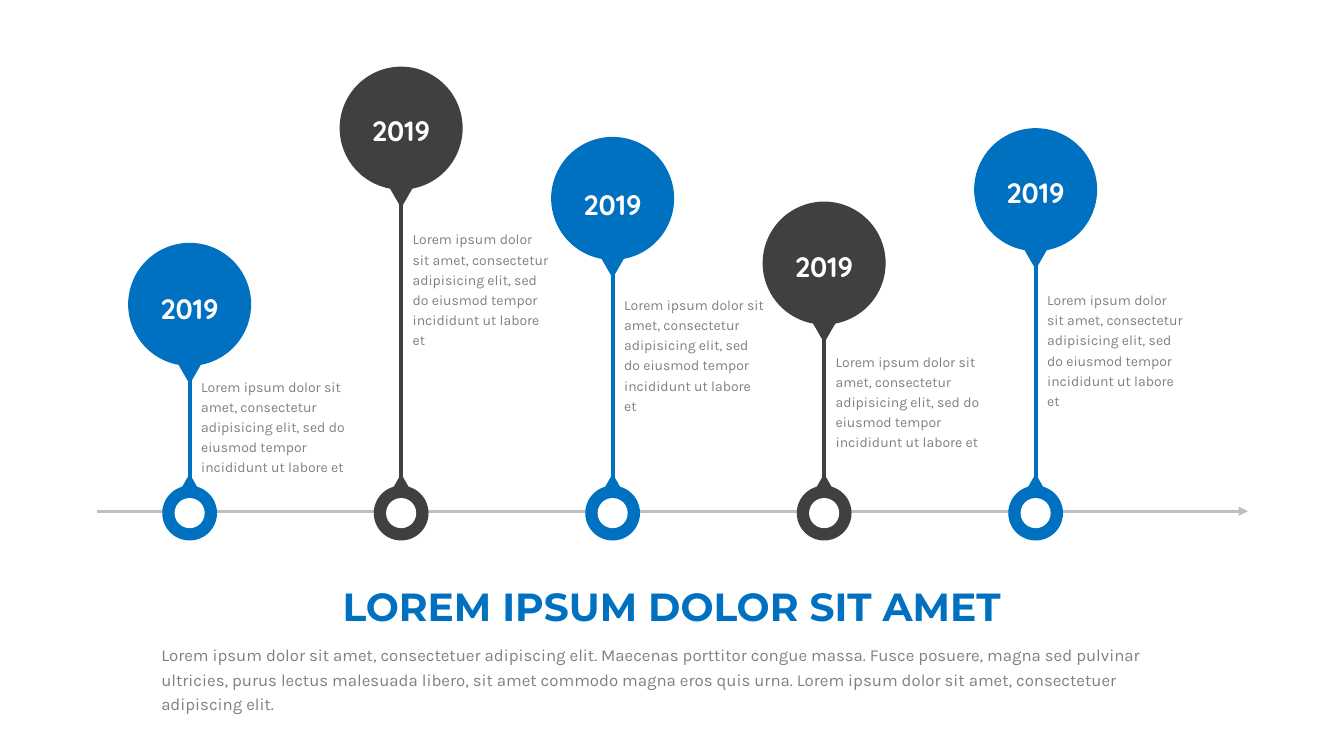
import pptx
import pptx.util
import pptx.dml.color
import pptx.enum.dml
import pptx.enum.shapes
import pptx.enum.text
import pptx.oxml.ns
from lxml import etree

Cm = pptx.util.Cm
RGBColor = pptx.dml.color.RGBColor
SHAPE = pptx.enum.shapes.MSO_SHAPE
ALIGN = pptx.enum.text.PP_ALIGN
qn = pptx.oxml.ns.qn

BLUE = RGBColor(0x00, 0x70, 0xC0)
DARK = RGBColor(0x40, 0x40, 0x40)
GREY = RGBColor(0x80, 0x80, 0x80)
LIGHT_GREY = RGBColor(0xBF, 0xBF, 0xBF)
WHITE = RGBColor(0xFF, 0xFF, 0xFF)

# Timeline geometry in centimetres
FIRST_CENTRE, PITCH = 4.78, 5.33
AXIS_Y, AXIS_LEFT, AXIS_RIGHT = 12.88, 2.44, 31.45
BUBBLE = 3.1
STEM_BOTTOM = 13.28

# Bubble top, year top, stem top, note top, note width, colour
MILESTONES = [
    (6.12, 7.11, 9.02, 9.32, 4.6, BLUE),
    (1.68, 2.62, 4.01, 5.61, 4.01, DARK),
    (3.45, 4.47, 6.27, 7.26, 4.04, BLUE),
    (5.08, 6.05, 7.65, 8.69, 4.32, DARK),
    (3.23, 4.17, 5.64, 7.14, 3.96, BLUE),
]
YEAR = "2019"
NOTE = ("Lorem ipsum dolor sit amet, consectetur adipisicing elit, "
        "sed do eiusmod tempor incididunt ut labore et")
TITLE = "LOREM IPSUM DOLOR SIT AMET"
SUMMARY = ("Lorem ipsum dolor sit amet, consectetuer adipiscing elit. Maecenas "
           "porttitor congue massa. Fusce posuere, magna sed pulvinar ultricies, "
           "purus lectus malesuada libero, sit amet commodo magna eros quis urna. "
           "Lorem ipsum dolor sit amet, consectetuer adipiscing elit.")


class TimelineSlide:
    """Holds the slide and its text styles, and draws each kind of element."""

    # Font, size, bold, colour, alignment, line spacing
    STYLES = {
        "title": ("Montserrat", 28, True, BLUE, ALIGN.CENTER, 1.0),
        "summary": ("Karla", 12, False, GREY, ALIGN.LEFT, 1.2),
        "year": ("Quicksand", 20, True, WHITE, ALIGN.CENTER, 1.14),
        "note": ("Karla", 10, False, GREY, ALIGN.LEFT, 1.2),
    }

    def __init__(self, presentation):
        self.slide = presentation.slides.add_slide(presentation.slide_layouts[1])

    def shape(self, kind, centre, top, width, height, colour, rotation=0):
        shape = self.slide.shapes.add_shape(
            kind, Cm(centre - width / 2), Cm(top), Cm(width), Cm(height))
        shape.shadow.inherit = False
        shape.fill.solid()
        shape.fill.fore_color.rgb = colour
        shape.line.fill.background()
        shape.rotation = rotation

    def line(self, x1, y1, x2, y2, colour, points, arrow=False):
        connector = self.slide.shapes.add_connector(
            pptx.enum.shapes.MSO_CONNECTOR.STRAIGHT, Cm(x1), Cm(y1), Cm(x2), Cm(y2))
        connector.line.color.rgb = colour
        connector.line.width = pptx.util.Pt(points)
        if arrow:
            etree.SubElement(connector.line._get_or_add_ln(), qn("a:tailEnd"),
                             type="triangle")
        etree.SubElement(connector._element.spPr, qn("a:effectLst"))

    def format_text(self, shape, text, style):
        font_name, size, bold, colour, alignment, spacing = self.STYLES[style]
        frame = shape.text_frame
        frame.text = text
        frame.word_wrap = True
        frame.auto_size = pptx.enum.text.MSO_AUTO_SIZE.SHAPE_TO_FIT_TEXT
        frame.vertical_anchor = pptx.enum.text.MSO_ANCHOR.TOP
        paragraph = frame.paragraphs[0]
        paragraph.alignment = alignment
        paragraph.line_spacing = spacing
        paragraph.space_before = pptx.util.Pt(0)
        font = paragraph.runs[0].font
        font.name, font.size, font.bold = font_name, pptx.util.Pt(size), bold
        font.color.rgb = colour
        return paragraph

    def text(self, left, top, width, height, text, style):
        box = self.slide.shapes.add_textbox(Cm(left), Cm(top), Cm(width), Cm(height))
        self.format_text(box, text, style)

    def placeholder(self, index, left, top, width, height, text, style):
        shape = self.slide.placeholders[index]
        shape.left, shape.top = Cm(left), Cm(top)
        shape.width, shape.height = Cm(width), Cm(height)
        properties = self.format_text(shape, text, style)._p.get_or_add_pPr()
        properties.set("marL", "0")
        properties.set("indent", "0")
        etree.SubElement(properties, qn("a:buNone"))

    def milestone(self, centre, bubble_top, stem_top, colour):
        self.shape(SHAPE.OVAL, centre, bubble_top, BUBBLE, BUBBLE, colour)
        self.shape(SHAPE.ISOSCELES_TRIANGLE, centre, bubble_top + 2.9,
                   0.76, 0.66, colour, rotation=180)
        self.line(centre, stem_top, centre, STEM_BOTTOM, colour, 3)
        self.shape(SHAPE.OVAL, centre, 12.24, 1.38, 1.38, colour)
        self.shape(SHAPE.ISOSCELES_TRIANGLE, centre, 11.94, 0.53, 0.46, colour)
        self.shape(SHAPE.OVAL, centre, 12.55, 0.76, 0.76, WHITE)


def main():
    presentation = pptx.Presentation()
    presentation.slide_width, presentation.slide_height = Cm(33.87), Cm(19.05)
    timeline = TimelineSlide(presentation)

    # Axis
    timeline.line(AXIS_LEFT, AXIS_Y, AXIS_RIGHT, AXIS_Y, LIGHT_GREY, 2.25, arrow=True)

    # Milestones with year and note
    for index, milestone in enumerate(MILESTONES):
        bubble_top, year_top, stem_top, note_top, note_width, colour = milestone
        centre = FIRST_CENTRE + index * PITCH
        timeline.milestone(centre, bubble_top, stem_top, colour)
        timeline.text(centre - BUBBLE / 2, year_top, BUBBLE, 1.14, YEAR, "year")
        timeline.text(centre + 0.04, note_top, note_width, 2.77, NOTE, "note")

    # Title and summary
    timeline.placeholder(0, 6.32, 14.55, 21.21, 1.45, TITLE, "title")
    timeline.placeholder(1, 3.81, 16.03, 26.24, 1.42, SUMMARY, "summary")

    presentation.save("out.pptx")


if __name__ == "__main__":
    main()
